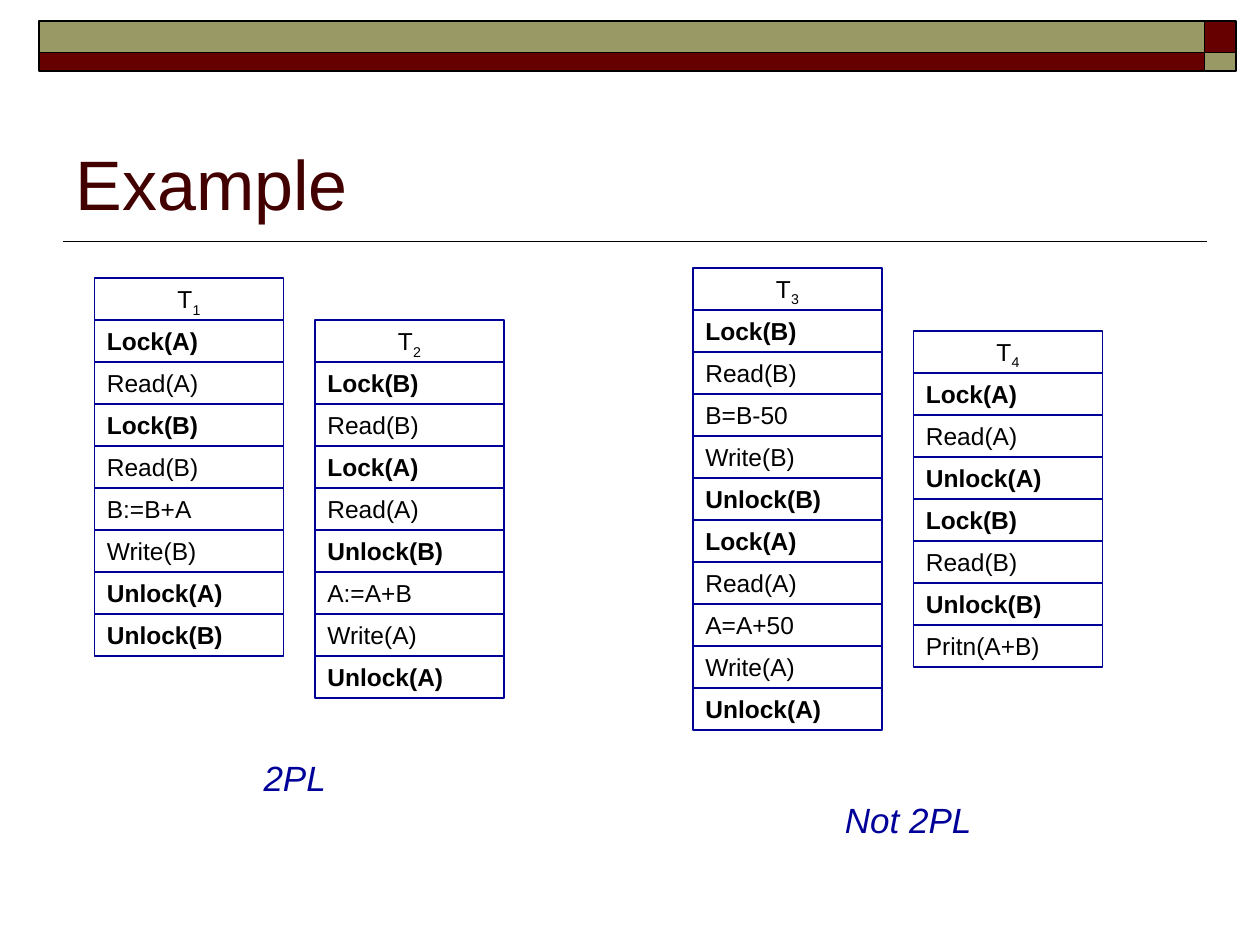
from lxml.etree import SubElement
from pptx import Presentation
from pptx.dml.color import RGBColor
from pptx.enum.shapes import MSO_CONNECTOR as Conn, MSO_SHAPE as Shape
from pptx.enum.text import MSO_ANCHOR as Anchor, MSO_AUTO_SIZE as Fit, PP_ALIGN as Align
from pptx.oxml.ns import qn
from pptx.util import Inches, Pt

rgb = RGBColor.from_string
COL, ROW = Inches(1 / 4), Inches(1 / 24)
STEP, WIDE = 8 * ROW, 6 * COL  # one table row, one table width
BLACK, NAVY, RED, OLIVE = "000000", "000099", "660000", "999966"


def write(frame, text, size=14, color=BLACK, bold=False, italic=False,
          align=Align.LEFT, sub="", gap=8.8, fit=Fit.SHAPE_TO_FIT_TEXT):
    frame.word_wrap = True
    frame.auto_size = fit
    para = frame.paragraphs[0]
    para.alignment = align
    para.space_before = Pt(gap)
    for part in filter(None, (text, sub)):
        run = para.add_run()
        run.text = part
        font = run.font
        font.name, font.size = "Arial", Pt(size)
        font.bold, font.italic = bold, italic
        font.color.rgb = rgb(color)
    if sub:
        font._element.set("baseline", "-25000")


def ink(item, color=BLACK, fill=None):
    """Set the line and fill of a shape or connector, without a shadow."""
    item.line.color.rgb = rgb(color)
    item.line.width = Pt(1)
    if fill:
        item.fill.solid()
        item.fill.fore_color.rgb = rgb(fill)
    SubElement(item._element.spPr, qn("a:effectLst"))


deck = Presentation()
deck.slide_width, deck.slide_height = Inches(10), Inches(7.5)
slide = deck.slides.add_slide(deck.slide_layouts[5])
shapes = slide.shapes

# Banner and title
rule = shapes.add_connector(Conn.STRAIGHT, 2 * COL, 46 * ROW, Inches(9.58), 46 * ROW)
ink(rule)
edge, side = Inches(0.31), Inches(9.56)
for x, y, w, h, fill in [
    (side, 4, COL, 6, RED),
    (edge, 4, 37 * COL, 6, OLIVE),
    (edge, 10, 37 * COL, 3.6, RED),
    (side, 10, COL, 3.6, OLIVE),
]:
    bar = shapes.add_shape(Shape.RECTANGLE, x, y * ROW, w, int(h * ROW))
    ink(bar, fill=fill)

title = shapes.title
title.left, title.top, title.width, title.height = 2 * COL, 14 * ROW, 36 * COL, 30 * ROW
title.text_frame.vertical_anchor = Anchor.BOTTOM
write(title.text_frame, "Example", size=40, color="420000", gap=0, fit=Fit.NONE)

# Transactions: number, column, row, steps
for num, col, row, steps in [
    ("1", 3, 53, "Lock(A) Read(A) Lock(B) Read(B) B:=B+A Write(B) Unlock(A) Unlock(B)"),
    ("2", 10, 61, "Lock(B) Read(B) Lock(A) Read(A) Unlock(B) A:=A+B Write(A) Unlock(A)"),
    ("3", 22, 51, "Lock(B) Read(B) B=B-50 Write(B) Unlock(B) "
                  "Lock(A) Read(A) A=A+50 Write(A) Unlock(A)"),
    ("4", 29, 63, "Lock(A) Read(A) Unlock(A) Lock(B) Read(B) Unlock(B) Pritn(A+B)"),
]:
    left, top = col * COL, row * ROW
    steps = steps.split()
    count = len(steps) + 1
    frame = shapes.add_shape(Shape.RECTANGLE, left, top, WIDE, count * STEP)
    frame.fill.background()
    ink(frame, NAVY)
    head = shapes.add_textbox(left, top, WIDE, 9 * ROW)
    write(head.text_frame, "T", sub=num, align=Align.CENTER)

    for i, step in enumerate(steps, 1):
        y = top + i * STEP
        line = shapes.add_connector(Conn.STRAIGHT, left, y, left + WIDE, y)
        if 2 * i == count:
            line.begin_connect(frame, 1)
            line.end_connect(frame, 3)
        ink(line, NAVY)
        cell = shapes.add_textbox(left, y, WIDE, STEP)
        write(cell.text_frame, step, bold="ock(" in step)

# Captions
for text, col, row, w in [("2PL ", 5, 143, 9), ("Not 2PL", 23, 151, 11.67)]:
    note = shapes.add_textbox(col * COL, row * ROW, int(w * COL), Inches(0.44))
    write(note.text_frame, text, size=20, color=NAVY, italic=True,
          align=Align.CENTER, gap=12.5)

deck.save("out.pptx")
